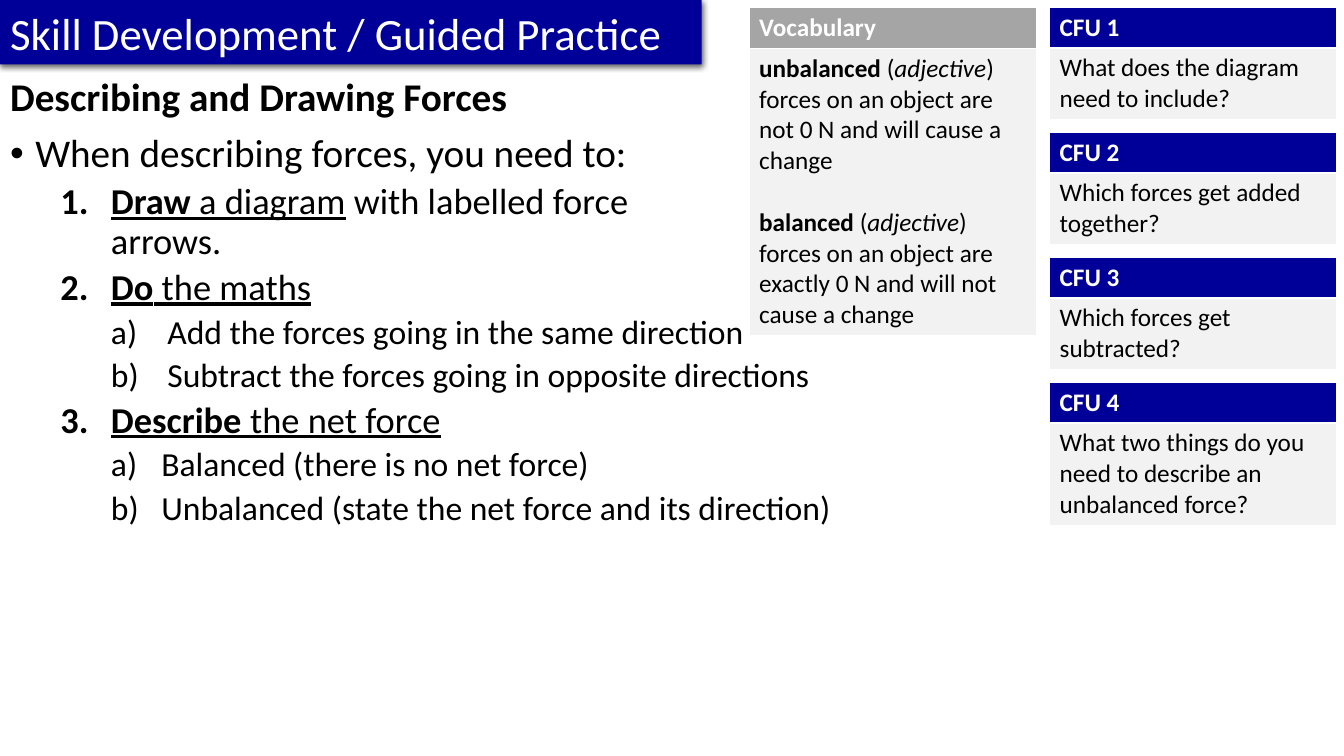
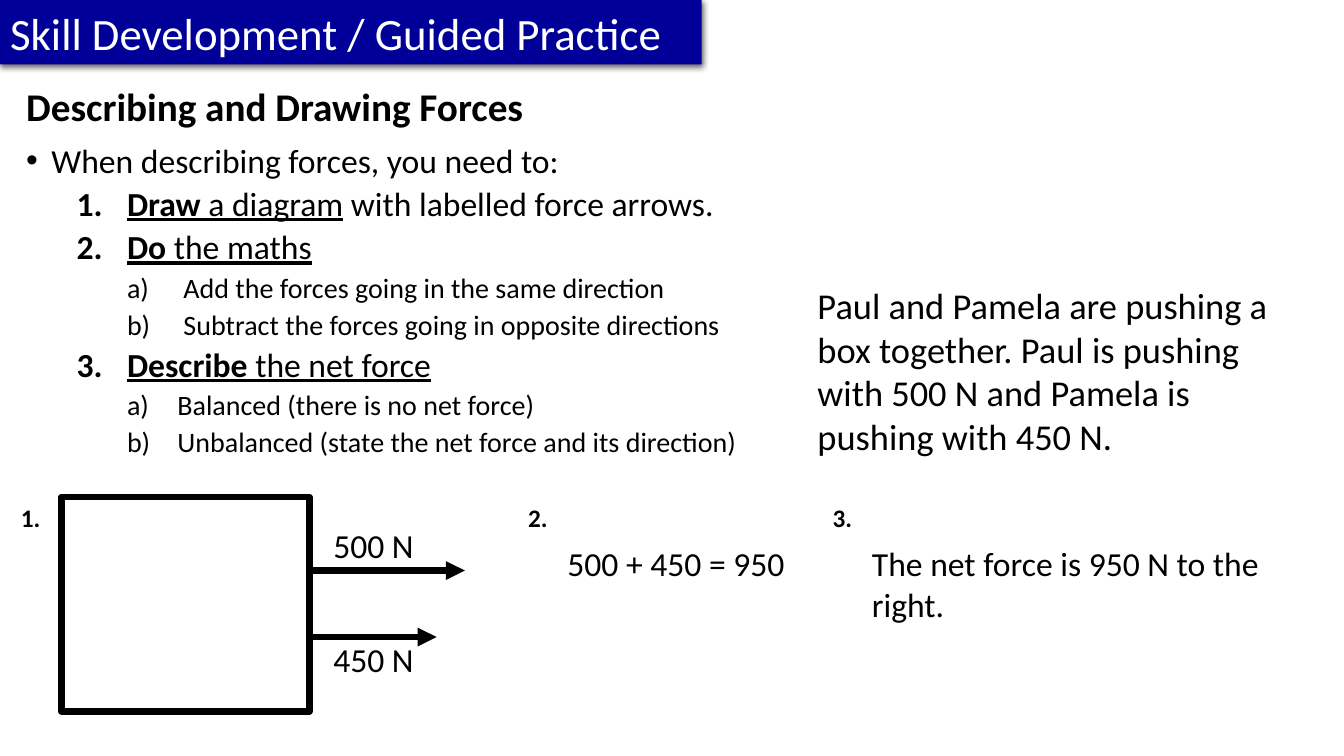
from collections import namedtuple

from lxml import etree
from pptx import Presentation
from pptx import util as u
from pptx.dml.color import RGBColor
from pptx.enum import shapes, text
from pptx.oxml import ns

PX = 9144  # EMU in one px, 100 px to the inch
FONT = "Calibri"
COLOURS = {
    "navy": "000099",
    "grey": "A5A5A5",
    "pale": "F2F2F2",
    "white": "FFFFFF",
    "black": "000000",
}

# Runs are (text, flags), with flags b(old), i(talic) and u(nderlined).
Kind = namedtuple("Kind", "level left hang before bullet")
AUTO_NUMBER = "buAutoNum"
KINDS = {
    "heading": Kind(0, 0, 0, 0, ("buNone", {})),
    "lead": Kind(0, 25, 25, 10, ("buChar", {"char": "•"})),
    "step": Kind(1, 100, 50, 5, (AUTO_NUMBER, {"type": "arabicPeriod"})),
    "sum": Kind(2, 156, 56, 5, (AUTO_NUMBER, {"type": "alphaLcParenR"})),
    "result": Kind(2, 150, 50, 5, (AUTO_NUMBER, {"type": "alphaLcParenR"})),
}

CFU_QUESTIONS = [
    ("What does the diagram need to include?", 71),
    ("Which forces get added together?", 71),
    ("Which forces get subtracted?", 71),
    ("What two things do you need to describe an unbalanced force?", 101),
]

VOCABULARY = [
    ("unbalanced", "forces on an object are not 0 N and will cause a change"),
    ("balanced", "forces on an object are exactly 0 N and will not cause a change"),
]


def px(*lengths):
    return [u.Emu(length * PX) for length in lengths]


def colour(name):
    return RGBColor.from_string(COLOURS[name])


def add_xml(parent, tag, **attributes):
    child = etree.SubElement(parent, ns.qn(f"a:{tag}"))
    for name, value in attributes.items():
        child.set(name, str(value))
    return child


def add_runs(para, runs, size, ink="black"):
    """Add (text, flags) runs; a newline in the text is a line break."""
    for words, flags in runs:
        for index, line in enumerate(words.split("\n")):
            if index:
                para.add_line_break()
            span = para.add_run()
            span.text = line
            font = span.font
            font.name, font.size = FONT, u.Pt(size)
            font.color.rgb = colour(ink)
            font.bold, font.italic = "b" in flags, "i" in flags
            font.underline = "u" in flags


def next_para(frame, index):
    return frame.add_paragraph() if index else frame.paragraphs[0]


def place(shape, box):
    shape.left, shape.top, shape.width, shape.height = px(*box)


def add_title(page):
    """Turn the title placeholder into the arrow-shaped band."""
    title = page.shapes.title
    place(title, (0, 0, 696, 64))
    properties = title._element.spPr
    outline = add_xml(properties, "prstGeom", prst="homePlate")
    add_xml(outline, "avLst")
    title.fill.solid()
    title.fill.fore_color.rgb = colour("navy")
    title.line.fill.background()
    effects = add_xml(properties, "effectLst")
    shadow = add_xml(effects, "outerShdw", blurRad=u.Pt(4.5), dist=u.Pt(1.5),
                     dir=5400000, algn="ctr", rotWithShape=0)
    add_xml(add_xml(shadow, "srgbClr", val=COLOURS["black"]), "alpha", val=63000)

    frame = title.text_frame
    frame.auto_size = text.MSO_AUTO_SIZE.NONE
    frame.vertical_anchor = text.MSO_ANCHOR.MIDDLE
    frame.margin_right = 0
    para = frame.paragraphs[0]
    para.alignment = text.PP_ALIGN.LEFT
    add_runs(para, [("Skill Development / Guided Practice", "")], 32, "white")


def format_item(para, kind):
    para.level = kind.level
    properties = para._p.get_or_add_pPr()
    properties.set("marL", str(kind.left * PX))
    properties.set("indent", str(-kind.hang * PX))
    tag, attributes = kind.bullet
    if tag != "buNone":
        add_xml(properties, "buFont", typeface="Arial" if tag == "buChar" else "+mj-lt")
    add_xml(properties, tag, **attributes)
    para.line_spacing = 0.9
    para.space_before = u.Pt(kind.before)


def add_outline(page, box, sizes, draw_ending):
    """Fill the body with the three steps; sizes are lead, step and detail."""
    lead, step, detail = sizes
    items = [
        ("heading", 28, [("Describing and Drawing Forces", "b")]),
        ("lead", lead, [("When describing forces, you need to:", "")]),
        ("step", step, [("Draw", "bu"), (" a diagram", "u"), (draw_ending, "")]),
        ("step", step, [("Do", "bu"), (" the maths", "u")]),
        ("sum", detail, [("Add the forces going in the same direction", "")]),
        ("sum", detail, [("Subtract the forces going in opposite directions", "")]),
        ("step", step, [("Describe", "bu"), (" the net force", "u")]),
        ("result", detail, [("Balanced (there is no net force)", "")]),
        ("result", detail, [("Unbalanced (state the net force and its direction)", "")]),
    ]
    body = page.placeholders[1]
    place(body, box)
    frame = body.text_frame
    frame.auto_size = text.MSO_AUTO_SIZE.NONE
    for index, (kind, size, runs) in enumerate(items):
        para = next_para(frame, index)
        format_item(para, KINDS[kind])
        add_runs(para, runs, size)


def add_card(page, left, top, heights, heading, fill, paras):
    """Add a two-row table; paras are (space before, runs) pairs."""
    frame = page.shapes.add_table(2, 1, *px(left, top, 285, sum(heights)))
    table = frame.table
    table.horz_banding = False
    for row, height in zip(table.rows, heights):
        row.height = u.Emu(height * PX)
    head, body = table.cell(0, 0), table.cell(1, 0)
    for cell, name in ((head, fill), (body, "pale")):
        cell.fill.solid()
        cell.fill.fore_color.rgb = colour(name)
    add_runs(head.text_frame.paragraphs[0], [(heading, "b")], 18, "white")
    for index, (before, runs) in enumerate(paras):
        para = next_para(body.text_frame, index)
        para.space_before = u.Pt(before)
        add_runs(para, runs, 18)


def add_text(page, box, words, size=24, flags="", wrap=False, centred=False):
    frame = page.shapes.add_textbox(*px(*box)).text_frame
    frame.word_wrap = wrap
    para = frame.paragraphs[0]
    if centred:
        para.alignment = text.PP_ALIGN.CENTER
    add_runs(para, [(words, flags)], size)


def set_line(shape):
    shape.line.color.rgb = colour("black")
    shape.line.width = u.Pt(4.5)


def add_crate(page, box):
    crate = page.shapes.add_shape(shapes.MSO_SHAPE.RECTANGLE, *px(*box))
    crate.shadow.inherit = False
    crate.fill.solid()
    crate.fill.fore_color.rgb = colour("white")
    set_line(crate)


def add_force(page, left, right, y):
    arrow = page.shapes.add_connector(
        shapes.MSO_CONNECTOR.STRAIGHT, *px(left, y, right, y))
    set_line(arrow)
    properties = arrow._element.spPr
    add_xml(properties.find(ns.qn("a:ln")), "tailEnd", type="triangle")
    add_xml(properties, "effectLst")


def build_method(page):
    add_title(page)
    add_outline(page, (0, 72, 1028, 665), (28, 26, 24), " with labelled force \narrows.")
    for index, (question, height) in enumerate(CFU_QUESTIONS):
        add_card(page, 1041, 7 + 124 * index, (39, height), f"CFU {index + 1}",
                 "navy", [(0, [(question, "")])])
    entries = []
    for index, (word, meaning) in enumerate(VOCABULARY):
        term = [(word, "b"), (" (", ""), ("adjective", "i"), (")", "")]
        entries += [(22 if index else 0, term), (0, [(meaning, "")])]
    add_card(page, 743, 7, (41, 280), "Vocabulary", "grey", entries)


def build_example(page):
    add_title(page)
    add_outline(page, (16, 82, 742, 380), (24, 24, 20), " with labelled force arrows.")
    add_text(page, (801, 276, 470, 185),
             "Paul and Pamela are pushing a box together. Paul is pushing "
             "with 500 N and Pamela is pushing with 450 N.", 26, wrap=True)
    add_crate(page, (61, 493, 246, 213))
    for force, end, y, label_top in ((500, 461, 566, 516), (450, 433, 632, 629)):
        add_force(page, 307, end, y)
        add_text(page, (320, label_top, 101, 50), f"{force} N", centred=True)
    for number, left in enumerate((11, 514, 816), start=1):
        add_text(page, (left, 493, 40, 40), f"{number}.", 18, "b")
    add_text(page, (553, 534, 237, 50), "500 + 450 = 950")
    add_text(page, (855, 534, 416, 91), "The net force is 950 N to the right.", wrap=True)


def main():
    deck = Presentation()
    deck.slide_width, deck.slide_height = px(1333, 750)
    layout = deck.slide_layouts[1]
    for build in (build_method, build_example):
        build(deck.slides.add_slide(layout))
    deck.save("out.pptx")


if __name__ == "__main__":
    main()
